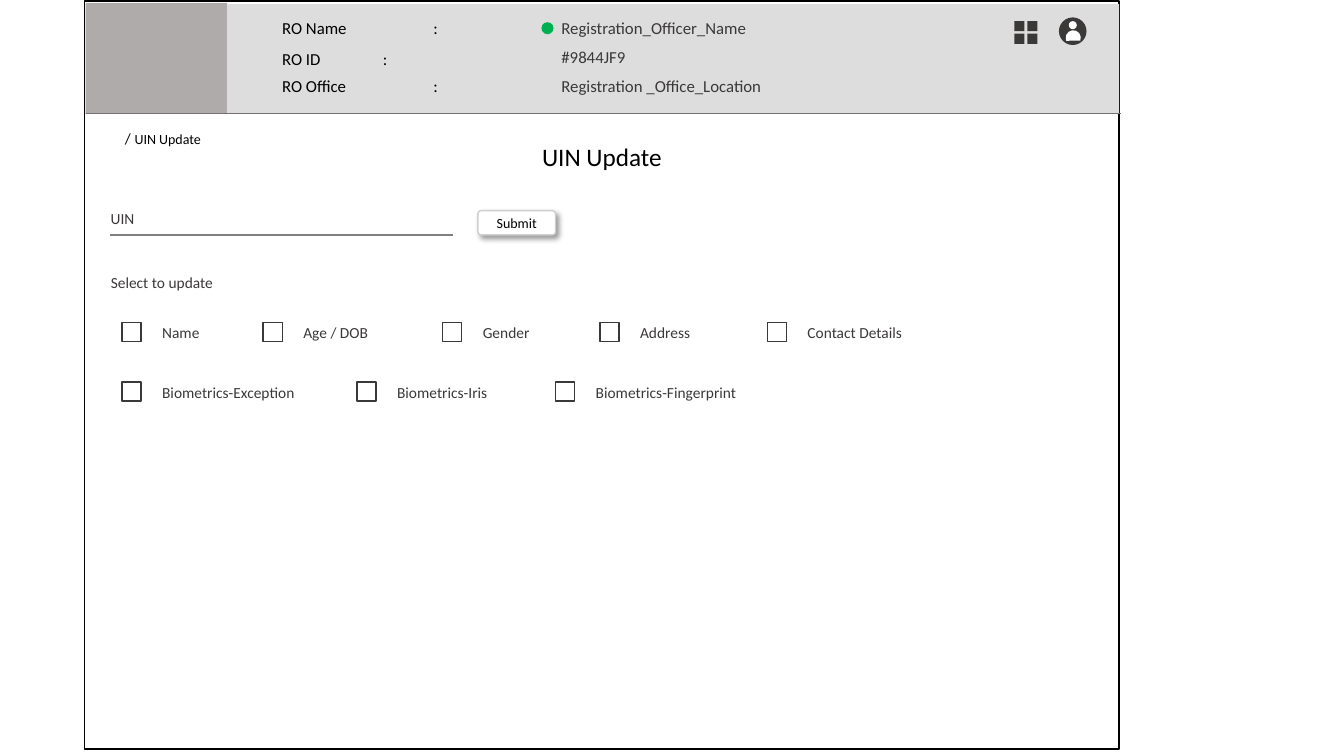
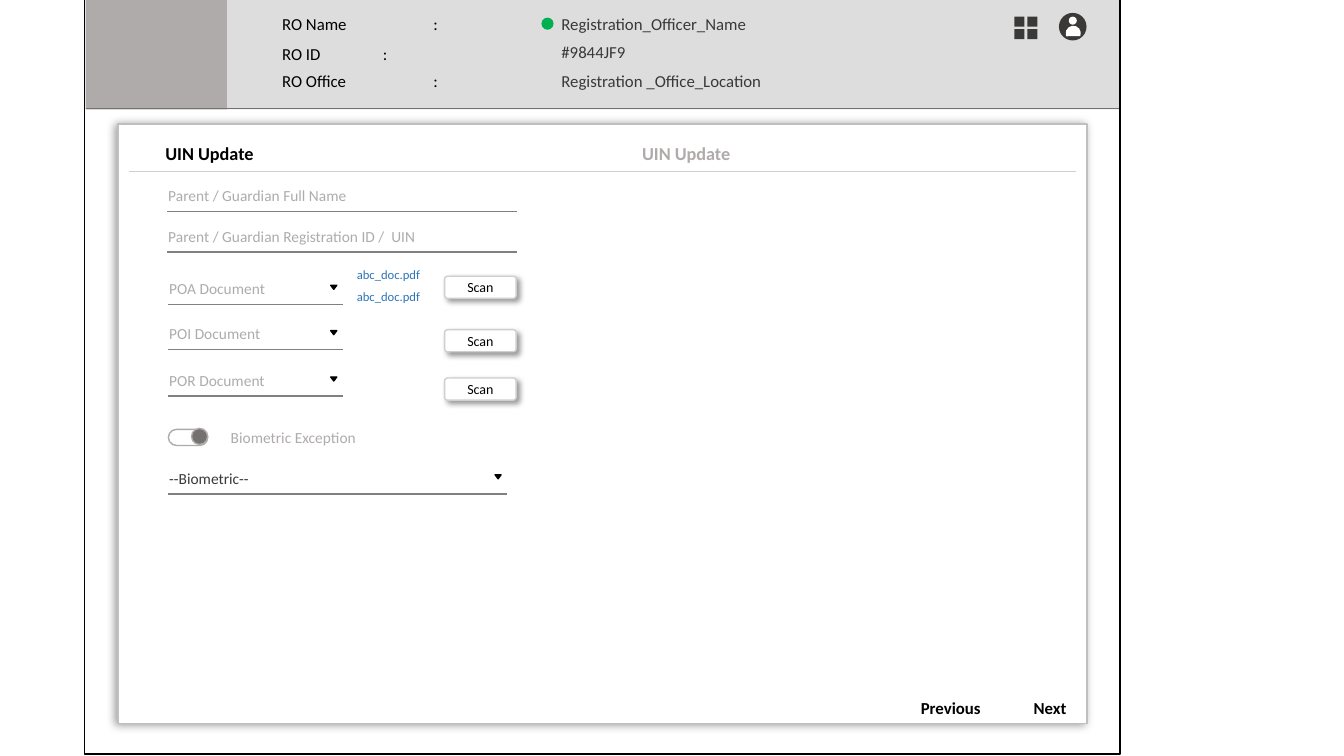
from dataclasses import dataclass

from lxml import etree
from pptx import Presentation, util as u
from pptx.dml.color import RGBColor
from pptx.enum import shapes as es, text as et
from pptx.oxml.ns import qn

CELL = u.Inches(0.1)  # grid unit for columns and rows
TITLE_ONLY = 5
FONT = "Calibri"

BLACK = RGBColor(0x00, 0x00, 0x00)
WHITE = RGBColor(0xFF, 0xFF, 0xFF)
CHARCOAL = RGBColor(0x3B, 0x38, 0x38)
DARK_GREY = RGBColor(0x76, 0x71, 0x71)
FIELD_GREY = RGBColor(0x80, 0x80, 0x80)
MUTED = RGBColor(0xAF, 0xAB, 0xAB)
CARD_EDGE = RGBColor(0xBF, 0xBF, 0xBF)
LIGHT_EDGE = RGBColor(0xD0, 0xCE, 0xCE)
BAND = RGBColor(0xDD, 0xDD, 0xDD)
ONLINE = RGBColor(0x00, 0xB0, 0x50)
LINK = RGBColor(0x2E, 0x75, 0xB6)

Kind = es.MSO_SHAPE
Align = et.PP_ALIGN


@dataclass(frozen=True)
class Box:
    """Place and size in grid cells."""
    col: float
    row: float
    cols: float
    rows: float

    def emu(self) -> list[int]:
        return [round(n * CELL) for n in (self.col, self.row, self.cols, self.rows)]


@dataclass(frozen=True)
class Style:
    size: float
    colour: RGBColor = CHARCOAL
    bold: bool = False


@dataclass(frozen=True)
class Shadow:
    colour: RGBColor
    alpha: int
    blur: float
    distance: float
    angle: int


@dataclass(frozen=True)
class Field:
    """An underlined input; row is the height of the underline."""
    text: str
    text_cols: float
    col: float
    row: float
    cols: float
    style: Style
    dropdown: bool = False


@dataclass(frozen=True)
class Option:
    text: str
    col: float
    row: float
    text_cols: float


@dataclass(frozen=True)
class Officer:
    caption: str
    value: str
    row: float
    value_row: float
    value_cols: float


BODY = Style(11)
HINT = Style(11, MUTED)
HEADER_KEY = Style(12, BLACK)
HEADER_VALUE = Style(12)
BUTTON_TEXT = Style(10, BLACK)
NAVIGATION = Style(12, BLACK, True)
BUTTON_SHADOW = Shadow(BLACK, 40, 4, 3, 45)
CARD_SHADOW = Shadow(FIELD_GREY, 80, 6, 2, 170)

OFFICER = (
    Officer("RO Name", "Registration_Officer_Name", 1.3, 1.3, 21.2),
    Officer("RO ID", "#9844JF9", 4.3, 4.1, 9.1),
    Officer("RO Office", "Registration _Office_Location", 7, 7, 22.7),
)
OPTIONS = (
    Option("Name", 12.1, 32, 5.8),
    Option("Age / DOB", 26.1, 32, 8.5),
    Option("Gender", 43.9, 32, 6.7),
    Option("Address", 59.5, 32, 7),
    Option("Contact Details", 76.1, 32, 11.5),
    Option("Biometrics-Exception", 12.1, 37.9, 15.3),
    Option("Biometrics-Iris", 35.4, 37.9, 11),
    Option("Biometrics-Fingerprint", 55.1, 37.9, 16),
)
UIN_FIELD = Field("UIN", 4.4, 10.9, 23.3, 34, BODY)
FORM_FIELDS = (
    Field("Parent / Guardian Full Name", 19.9, 16.6, 21, 34.7, HINT),
    Field("Parent / Guardian Registration ID /  UIN", 26.8, 16.6, 25, 34.7, HINT),
    Field("POA Document", 11.6, 16.7, 30.2, 17.3, HINT, True),
    Field("POI Document", 11.1, 16.7, 34.7, 17.3, HINT, True),
    Field("POR Document", 11.5, 16.7, 39.3, 17.3, HINT, True),
    Field("--Biometric--", 10, 16.7, 49, 33.6, BODY, True),
)
SCAN_ROWS = (27.4, 32.7, 37.5)
FILE_ROWS = (26, 28.2)


def add_run(paragraph, text: str, style: Style) -> None:
    run = paragraph.add_run()
    run.text = text
    font = run.font
    font.name, font.size, font.bold = FONT, u.Pt(style.size), style.bold
    font.color.rgb = style.colour


def add_shape(slide, kind, box: Box, fill=None, line=None, adjust=None, turn=0):
    shape = slide.shapes.add_shape(kind, *box.emu())
    shape.shadow.inherit = False
    shape.rotation = turn
    if adjust is not None:
        shape.adjustments[0] = adjust
    if fill is None:
        shape.fill.background()
    else:
        shape.fill.solid()
        shape.fill.fore_color.rgb = fill
    if line is None:
        shape.line.fill.background()
    else:
        shape.line.color.rgb = line
        shape.line.width = u.Pt(1)
    return shape


def cast_shadow(shape, shadow: Shadow) -> None:
    effects = shape._element.spPr.find(qn("a:effectLst"))
    outer = etree.SubElement(
        effects, qn("a:outerShdw"), blurRad=str(u.Pt(shadow.blur)),
        dist=str(u.Pt(shadow.distance)), dir=str(shadow.angle * 60000), rotWithShape="0")
    colour = etree.SubElement(outer, qn("a:srgbClr"), val=str(shadow.colour))
    etree.SubElement(colour, qn("a:alpha"), val=str(shadow.alpha * 1000))


def add_rule(slide, col: float, row: float, cols: float, colour: RGBColor, width: float) -> None:
    left, top, length, _ = Box(col, row, cols, 0).emu()
    rule = slide.shapes.add_connector(es.MSO_CONNECTOR.STRAIGHT, left, top, left + length, top)
    rule.line.color.rgb = colour
    rule.line.width = u.Pt(width)
    etree.SubElement(rule._element.spPr, qn("a:effectLst"))


def add_label(slide, box: Box, text: str, style: Style, wrap=False, align=Align.LEFT):
    frame = slide.shapes.add_textbox(*box.emu()).text_frame
    frame.word_wrap = wrap
    frame.auto_size = et.MSO_AUTO_SIZE.SHAPE_TO_FIT_TEXT
    paragraph = frame.paragraphs[0]
    paragraph.alignment = align
    add_run(paragraph, text, style)
    return paragraph


def set_title(slide, box: Box, text: str, style: Style, align) -> None:
    """Format the title placeholder and bring it in front of what is drawn so far."""
    title = slide.shapes.title
    title.left, title.top, title.width, title.height = box.emu()
    frame = title.text_frame
    frame.word_wrap = True
    frame.auto_size = et.MSO_AUTO_SIZE.NONE
    frame.vertical_anchor = et.MSO_ANCHOR.TOP
    frame.paragraphs[0].alignment = align
    add_run(frame.paragraphs[0], text, style)
    slide.shapes._spTree.append(title._element)


def add_button(slide, box: Box, text: str) -> None:
    button = add_shape(slide, Kind.ROUNDED_RECTANGLE, box, WHITE, LIGHT_EDGE, 0.135)
    cast_shadow(button, BUTTON_SHADOW)
    frame = button.text_frame
    frame.vertical_anchor = et.MSO_ANCHOR.MIDDLE
    frame.paragraphs[0].alignment = Align.CENTER
    add_run(frame.paragraphs[0], text, BUTTON_TEXT)


def add_field(slide, field: Field) -> None:
    add_rule(slide, field.col, field.row, field.cols, FIELD_GREY, 1)
    label_box = Box(field.col - 0.9, field.row - 3, field.text_cols, 2.9)
    add_label(slide, label_box, field.text, field.style)
    if field.dropdown:
        arrow_box = Box(field.col + field.cols - 1.2, field.row - 1.9, 0.6, 0.4)
        add_shape(slide, Kind.ISOSCELES_TRIANGLE, arrow_box, BLACK, BLACK, turn=180)


def add_option(slide, option: Option) -> None:
    add_shape(slide, Kind.RECTANGLE, Box(option.col, option.row, 1.9, 1.9), line=CHARCOAL)
    label_box = Box(option.col + 3, option.row - 0.4, option.text_cols, 2.9)
    add_label(slide, label_box, option.text, BODY)


def add_header(slide, shift: float = 0) -> None:
    """Officer band with its icons, moved down by shift rows."""
    add_shape(slide, Kind.RECTANGLE, Box(8.6, 0.4 + shift, 102.4, 10.9), BAND)
    add_shape(slide, Kind.RECTANGLE, Box(8.5, 0.3 + shift, 14, 11), MUTED)
    add_rule(slide, 8.5, 11.25 + shift, 102.7, DARK_GREY, 0.5)
    for entry in OFFICER:
        key_box = Box(26.4, entry.row + shift, 22.7, 3)
        value_box = Box(54.1, entry.value_row + shift, entry.value_cols, 3)
        for paragraph in (
            add_label(slide, key_box, f"{entry.caption}\t\t:", HEADER_KEY),
            add_label(slide, value_box, entry.value, HEADER_VALUE),
        ):
            paragraph._p.get_or_add_pPr().set("marL", str(u.Inches(0.06)))
    add_shape(slide, Kind.OVAL, Box(53.7, 2.2 + shift, 1.2, 1.2), ONLINE)
    add_shape(slide, Kind.OVAL, Box(105.1, 1.8 + shift, 2.6, 2.6), CHARCOAL, CHARCOAL)
    add_shape(slide, Kind.OVAL, Box(106, 2.1 + shift, 0.8, 0.8), WHITE)
    add_shape(slide, Kind.CHORD, Box(105.7, 3 + shift, 1.5, 1.5), WHITE, turn=111.5)
    for tile in range(4):
        tile_row, tile_col = divmod(tile, 2)
        tile_box = Box(100.6 + 1.3 * tile_col, 2.1 + 1.25 * tile_row + shift, 1, 1)
        add_shape(slide, Kind.RECTANGLE, tile_box, CHARCOAL)


def build_selection(slide) -> None:
    add_shape(slide, Kind.RECTANGLE, Box(8.4, 0.1, 102.6, 74.2), line=BLACK)
    set_title(slide, Box(46.9, 13.5, 25.6, 4), "UIN Update", Style(18, BLACK), Align.CENTER)
    add_header(slide)
    breadcrumb = add_label(slide, Box(11.4, 12.2, 9.7, 3), "/", Style(11, BLACK))
    add_run(breadcrumb, " ", Style(12, BLACK))
    add_run(breadcrumb, "UIN Update", Style(10, BLACK))
    add_field(slide, UIN_FIELD)
    add_button(slide, Box(47.4, 20.9, 7.7, 2.4), "Submit")
    add_label(slide, Box(10, 26.6, 12.2, 2.9), "Select to update", BODY)
    for option in OPTIONS:
        add_option(slide, option)


def build_form(slide) -> None:
    card_box = Box(11.7, 12.3, 96.1, 59.5)
    card = add_shape(slide, Kind.ROUNDED_RECTANGLE, card_box, WHITE, CARD_EDGE, 0)
    cast_shadow(card, CARD_SHADOW)
    add_header(slide, -0.45)
    add_shape(slide, Kind.RECTANGLE, Box(8.4, -0.2, 102.7, 75), line=BLACK)
    set_title(slide, Box(15.4, 13.6, 22.3, 3.2), "UIN Update", Style(13, BLACK, True), Align.LEFT)
    add_label(slide, Box(62.7, 13.6, 26.7, 3.2), "UIN Update", Style(13, MUTED, True), wrap=True)
    add_rule(slide, 12.8, 17, 93.9, LIGHT_EDGE, 0.5)
    for field in FORM_FIELDS:
        add_field(slide, field)
    for row in FILE_ROWS:
        add_label(slide, Box(34.4, row, 8.9, 2.5), "abc_doc.pdf", Style(9, LINK))
    for row in SCAN_ROWS:
        add_button(slide, Box(44.1, row, 7.1, 2.2), "Scan")
    add_shape(slide, Kind.ROUNDED_RECTANGLE, Box(16.7, 42.6, 3.9, 1.6), WHITE, MUTED, 0.5)
    add_shape(slide, Kind.OVAL, Box(19, 42.5, 1.6, 1.6), DARK_GREY, MUTED)
    add_label(slide, Box(21.9, 42, 14.5, 2.9), "Biometric Exception", HINT)
    add_label(slide, Box(90.3, 68.7, 8, 3), "Previous", NAVIGATION, align=Align.CENTER)
    add_label(slide, Box(101.5, 68.7, 5.3, 3), "Next", NAVIGATION, align=Align.CENTER)


def main() -> None:
    deck = Presentation()
    deck.slide_width, deck.slide_height = u.Inches(13.33), u.Inches(7.5)
    for build in (build_selection, build_form):
        build(deck.slides.add_slide(deck.slide_layouts[TITLE_ONLY]))
    deck.save("out.pptx")


if __name__ == "__main__":
    main()
